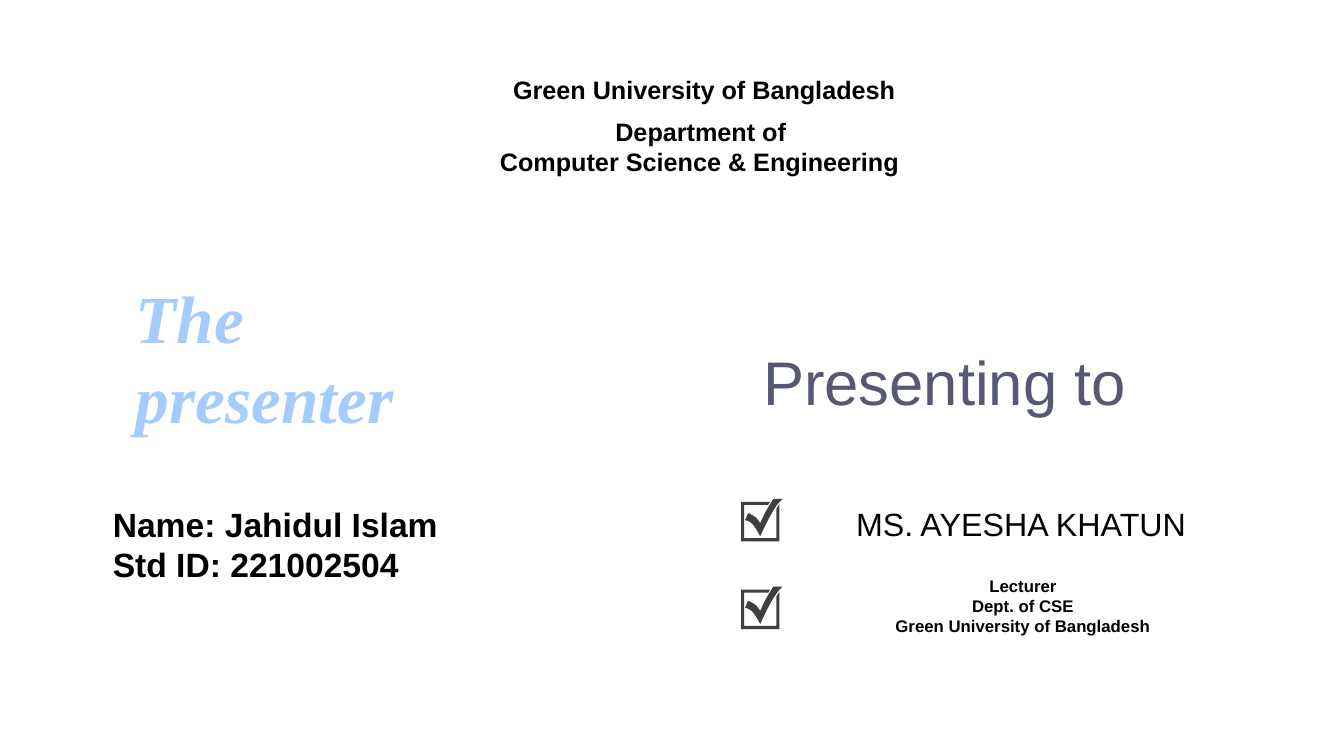
from pptx import Presentation
from pptx.dml.color import RGBColor
from pptx.enum.text import MSO_ANCHOR, PP_ALIGN
from pptx.util import Inches, Pt

LEFT, CENTER, JUSTIFY = PP_ALIGN.LEFT, PP_ALIGN.CENTER, PP_ALIGN.JUSTIFY
TOP, MIDDLE = MSO_ANCHOR.TOP, MSO_ANCHOR.MIDDLE

BLACK = RGBColor(0x00, 0x00, 0x00)
SLATE = RGBColor(0x56, 0x58, 0x74)
SKY = RGBColor(0xA4, 0xCC, 0xFF)
CHARCOAL = RGBColor(0x3F, 0x3F, 0x3F)

CHECK_LEFT, CHECK_TOP, CHECK_STEP = 7.34, 4.95, 0.87
CURVE_STEPS = 8

BOX_OUTLINE = [
    (0.01, 0.03), (0.3, 0.03), (0.29, 0.04, 0.28, 0.05, 0.28, 0.06),
    (0.04, 0.06), (0.04, 0.39), (0.36, 0.39), (0.36, 0.1),
    (0.37, 0.08, 0.38, 0.07, 0.39, 0.05), (0.39, 0.42), (0.01, 0.42),
]
TICK_OUTLINE = [
    (0.42, 0), (0.34, 0.07, 0.26, 0.24, 0.2, 0.37),
    (0.17, 0.32, 0.13, 0.22, 0.05, 0.21), (0.08, 0.14),
    (0.15, 0.17, 0.17, 0.19, 0.2, 0.24),
    (0.24, 0.15, 0.26, 0.11, 0.33, 0),
]


def add_text(slide, position, lines, size, color=BLACK, font="Arial", bold=False,
             italic=False, aligns=(LEFT,), anchor=TOP, spacing=None):
    frame = slide.shapes.add_textbox(*map(Inches, position)).text_frame
    frame.word_wrap = True
    frame.vertical_anchor = anchor
    frame.text = "\n".join(lines)
    for index, paragraph in enumerate(frame.paragraphs):
        paragraph.alignment = aligns[min(index, len(aligns) - 1)]
        paragraph.line_spacing = spacing
        for run in paragraph.runs:
            run.font.name = font
            run.font.size = Pt(size)
            run.font.bold = bold
            run.font.italic = italic
            run.font.color.rgb = color


def curve_point(start, curve, t):
    controls = [start, curve[0:2], curve[2:4], curve[4:6]]
    weights = [(1 - t) ** 3, 3 * t * (1 - t) ** 2, 3 * t * t * (1 - t), t ** 3]
    return tuple(sum(w * c[axis] for w, c in zip(weights, controls)) for axis in (0, 1))


def outline_points(outline, left, top):
    points = [outline[0]]
    for segment in outline[1:]:
        if len(segment) == 2:
            points.append(segment)
        else:
            start = points[-1]
            points += [curve_point(start, segment, step / CURVE_STEPS)
                       for step in range(1, CURVE_STEPS + 1)]
    return [(Inches(left + x), Inches(top + y)) for x, y in points]


def add_checkbox(slide, left, top):
    box = outline_points(BOX_OUTLINE, left, top)
    tick = outline_points(TICK_OUTLINE, left, top)
    builder = slide.shapes.build_freeform(*box[0])
    builder.add_line_segments(box[1:], close=True)
    builder.move_to(*tick[0])
    builder.add_line_segments(tick[1:], close=True)
    checkbox = builder.convert_to_shape()
    checkbox.shadow.inherit = False
    checkbox.fill.solid()
    checkbox.fill.fore_color.rgb = CHARCOAL
    checkbox.line.fill.background()


def main():
    prs = Presentation()
    prs.slide_width, prs.slide_height = Inches(13.33), Inches(7.5)
    slide = prs.slides.add_slide(prs.slide_layouts[6])

    add_text(slide, (7.47, 3.3, 4.42, 1.06), ["Presenting to"], 44, SLATE,
             anchor=MIDDLE, spacing=0.9)
    add_text(slide, (8.1, 4.95, 4.06, 0.49), ["MS. AYESHA KHATUN"], 23, aligns=(CENTER,))
    add_text(slide, (8.1, 5.66, 4.09, 0.71),
             ["Lecturer", "Dept. of CSE", "Green University of Bangladesh"], 12,
             bold=True, aligns=(CENTER,))
    for row in range(2):
        add_checkbox(slide, CHECK_LEFT, CHECK_TOP + row * CHECK_STEP)

    add_text(slide, (4.99, 0.69, 4.06, 0.4), ["Green University of Bangladesh"], 18,
             bold=True, aligns=(JUSTIFY,))
    add_text(slide, (4.86, 1.1, 4.25, 0.71),
             ["Department of ", "Computer Science & Engineering"], 18,
             bold=True, aligns=(CENTER, LEFT))
    add_text(slide, (1.25, 2.69, 3.26, 1.72), ["The", "presenter"], 48, SKY,
             font="Times New Roman", bold=True, italic=True)
    add_text(slide, (1.02, 4.95, 4.42, 0.91),
             ["Name: Jahidul Islam", "Std ID: 221002504"], 24, bold=True)

    prs.save("out.pptx")


if __name__ == "__main__":
    main()
